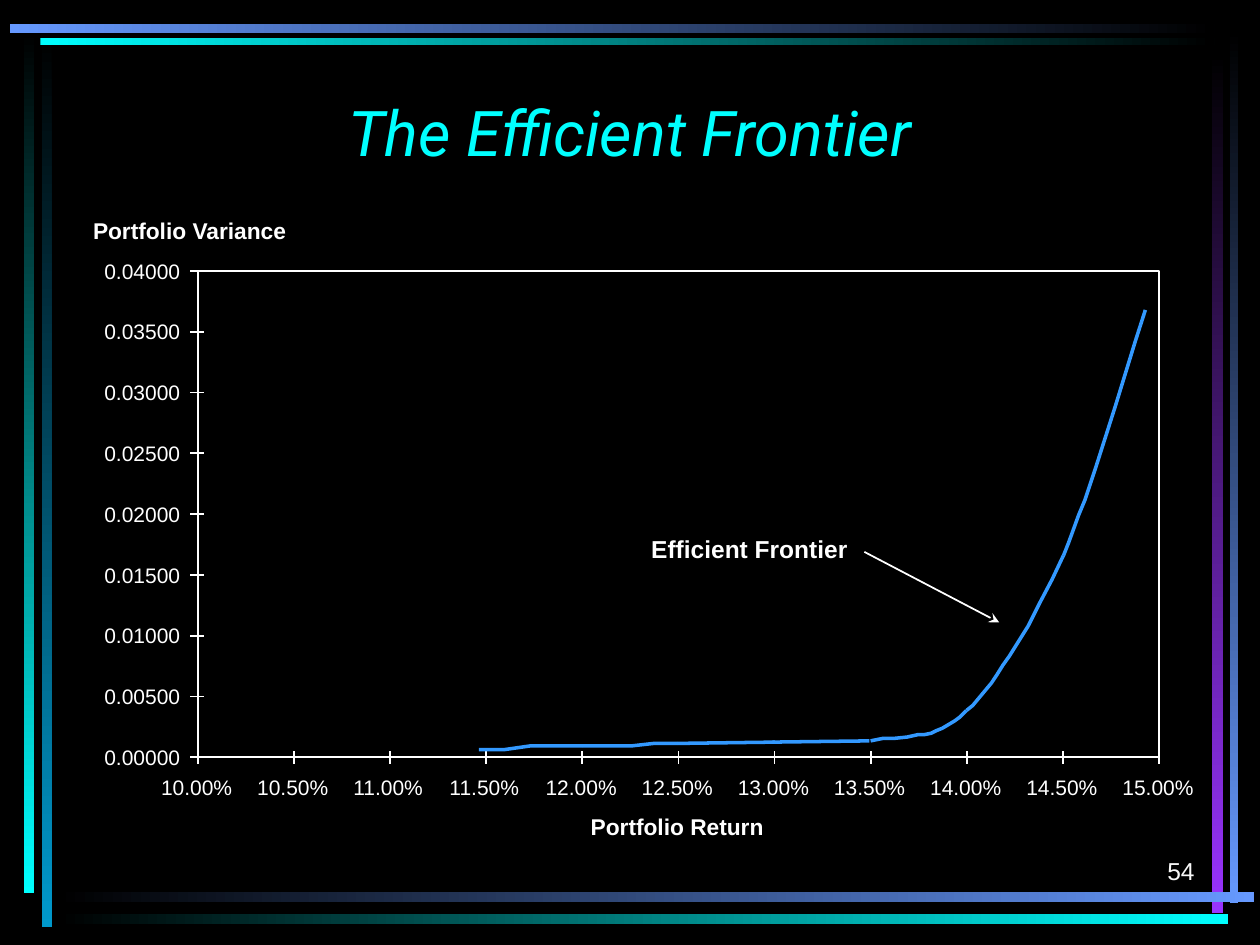
from pptx import Presentation
from pptx.dml.color import RGBColor
from pptx.enum.shapes import MSO_CONNECTOR as Connector, MSO_SHAPE as Shape
from pptx.enum.text import MSO_ANCHOR as Anchor, MSO_AUTO_SIZE as AutoSize, PP_ALIGN as Align
from pptx.oxml.ns import qn
from pptx.util import Emu, Inches, Pt
from lxml.etree import SubElement

# The slide is a grid of 1000 columns by 750 rows.
COLUMNS, ROWS = 1000, 750
SLIDE_WIDTH = Inches(10)
UNIT = SLIDE_WIDTH // COLUMNS

COLORS = {
    "black": "000000", "white": "FFFFFF", "number": "F8F8F8",
    "cyan": "00FFFF", "teal": "0099CC", "blue": "6699FF",
    "purple": "9933FF", "curve": "3399FF",
}
RIGHTWARD, DOWNWARD = 0, 270

# Left, top, width, height, first colour, last colour, direction
FRAME_BARS = [
    (33, 28, 8, 708, "black", "teal", DOWNWARD),
    (19, 25, 8, 684, "black", "cyan", DOWNWARD),
    (976, 24, 7, 693, "black", "blue", DOWNWARD),
    (962, 42, 9, 683, "black", "purple", DOWNWARD),
    (45, 708, 950, 8, "black", "blue", RIGHTWARD),
    (45, 725, 930, 8, "black", "cyan", RIGHTWARD),
    (32, 30, 932, 6, "cyan", "black", RIGHTWARD),
    (8, 19, 956, 7, "blue", "black", RIGHTWARD),
]

# Columns right of the vertical axis, rows above the horizontal axis
FRONTIER_PIECES = [
    [(223, 6), (243, 6), (264, 9), (285, 9), (305, 9)],
    [(305, 9), (325, 9), (344, 9), (362, 11), (381, 11)],
    [(381, 11), (458, 12)],
    [(456, 12), (533, 13)],
    [(534, 13), (544, 15), (553, 15), (563, 16), (572, 18), (577, 18), (582, 19),
     (586, 21), (591, 23), (596, 26), (601, 29), (605, 32), (610, 37)],
    [(610, 37), (615, 41), (620, 47), (625, 53), (630, 59), (634, 65), (639, 73),
     (644, 80), (649, 88), (654, 96), (659, 104), (668, 122), (678, 141), (687, 160)],
    [(687, 160), (691, 170), (695, 181), (699, 192), (704, 204), (708, 216),
     (712, 228), (720, 253), (728, 278), (736, 304), (744, 330), (752, 355)],
]


def color(name):
    return RGBColor.from_string(COLORS[name])


def grid(*lengths):
    return [Emu(round(length * UNIT)) for length in lengths]


def add_text(slide, box, text, size, ink="white", font="Arial", bold=False,
             italic=False, align=None, anchor=Anchor.TOP, wrap=False):
    frame = slide.shapes.add_textbox(*grid(*box)).text_frame
    frame.word_wrap = wrap
    frame.auto_size = AutoSize.NONE if wrap else AutoSize.SHAPE_TO_FIT_TEXT
    frame.vertical_anchor = anchor
    paragraph = frame.paragraphs[0]
    paragraph.alignment = align
    run = paragraph.add_run()
    run.text = text
    run.font.name, run.font.size = font, Pt(size)
    run.font.bold, run.font.italic = bold, italic
    run.font.color.rgb = color(ink)


def add_line(slide, start, end, ink="white", width=1, arrow=False):
    line = slide.shapes.add_connector(Connector.STRAIGHT, *grid(*start, *end))
    line.line.color.rgb = color(ink)
    line.line.width = Pt(width)
    if arrow:
        SubElement(line.line._get_or_add_ln(), qn("a:tailEnd"), type="stealth")
    SubElement(line._element.spPr, qn("a:effectLst"))


def add_outline(slide, points, ink="white", width=1, close=False):
    builder = slide.shapes.build_freeform(*points[0], scale=UNIT)
    builder.add_line_segments(points[1:], close=close)
    outline = builder.convert_to_shape()
    outline.shadow.inherit = False
    outline.fill.background()
    outline.line.color.rgb = color(ink)
    outline.line.width = Pt(width)


def add_frame_bars(slide):
    for *box, first, last, direction in FRAME_BARS:
        bar = slide.shapes.add_shape(Shape.RECTANGLE, *grid(*box))
        bar.shadow.inherit = False
        bar.line.fill.background()
        bar.fill.gradient()
        bar.fill.gradient_angle = direction
        for stop, name in zip(bar.fill.gradient_stops, (first, last)):
            stop.color.rgb = color(name)


def add_axes(slide, box):
    left, top, width, height = box
    right, bottom = left + width, top + height
    add_outline(slide, [(left, top), (right, top), (right, bottom), (left, bottom)],
                close=True)
    add_line(slide, (left, top), (left, bottom))
    add_line(slide, (left, bottom), (right, bottom))
    variance_steps, return_steps = 8, 10
    for step in range(variance_steps + 1):
        y = bottom - height * step / variance_steps
        add_line(slide, (left - 6, y), (left + 5, y))
        add_text(slide, (left - 84, y - 15, 80, 30), f"{step * 0.005:.5f}", 12)
    for step in range(return_steps + 1):
        x = left + width * step / return_steps
        add_line(slide, (x, bottom + 5), (x, bottom - 5))
        add_text(slide, (x - 39, bottom + 9, 77, 30), f"{10 + step * 0.5:.2f}%", 12)
    add_text(slide, (left - 93, top - 48, 174, 32), "Portfolio Variance", 13, bold=True)
    add_text(slide, (left + 302, bottom + 39, 157, 32), "Portfolio Return", 13, bold=True)


def add_frontier(slide, box):
    left, top, _, height = box
    for piece in FRONTIER_PIECES:
        points = [(left + x, top + height - y) for x, y in piece]
        add_piece = add_line if len(points) == 2 else add_outline
        if len(points) == 2:
            add_piece(slide, *points, ink="curve", width=2)
        else:
            add_piece(slide, points, ink="curve", width=2)
    add_text(slide, (left + 350, top + 204, 176, 33), "Efficient Frontier", 14, bold=True)
    add_line(slide, (left + 529, top + 223), (left + 636, top + 279), arrow=True)


def build_slide(presentation):
    slide = presentation.slides.add_slide(presentation.slide_layouts[6])
    slide.background.fill.solid()
    slide.background.fill.fore_color.rgb = color("black")
    add_frame_bars(slide)
    add_text(slide, (75, 67, 850, 75), "The Efficient Frontier", 36, "cyan", "Roboto",
             italic=True, align=Align.CENTER, anchor=Anchor.MIDDLE, wrap=True)
    plot = (157, 215, 763, 386)
    add_axes(slide, plot)
    add_frontier(slide, plot)
    add_text(slide, (750, 658, 208, 50), "54", 14, "number",
             align=Align.RIGHT, anchor=Anchor.BOTTOM, wrap=True)


def main():
    presentation = Presentation()
    presentation.slide_width, presentation.slide_height = grid(COLUMNS, ROWS)
    build_slide(presentation)
    presentation.save("out.pptx")


if __name__ == "__main__":
    main()
